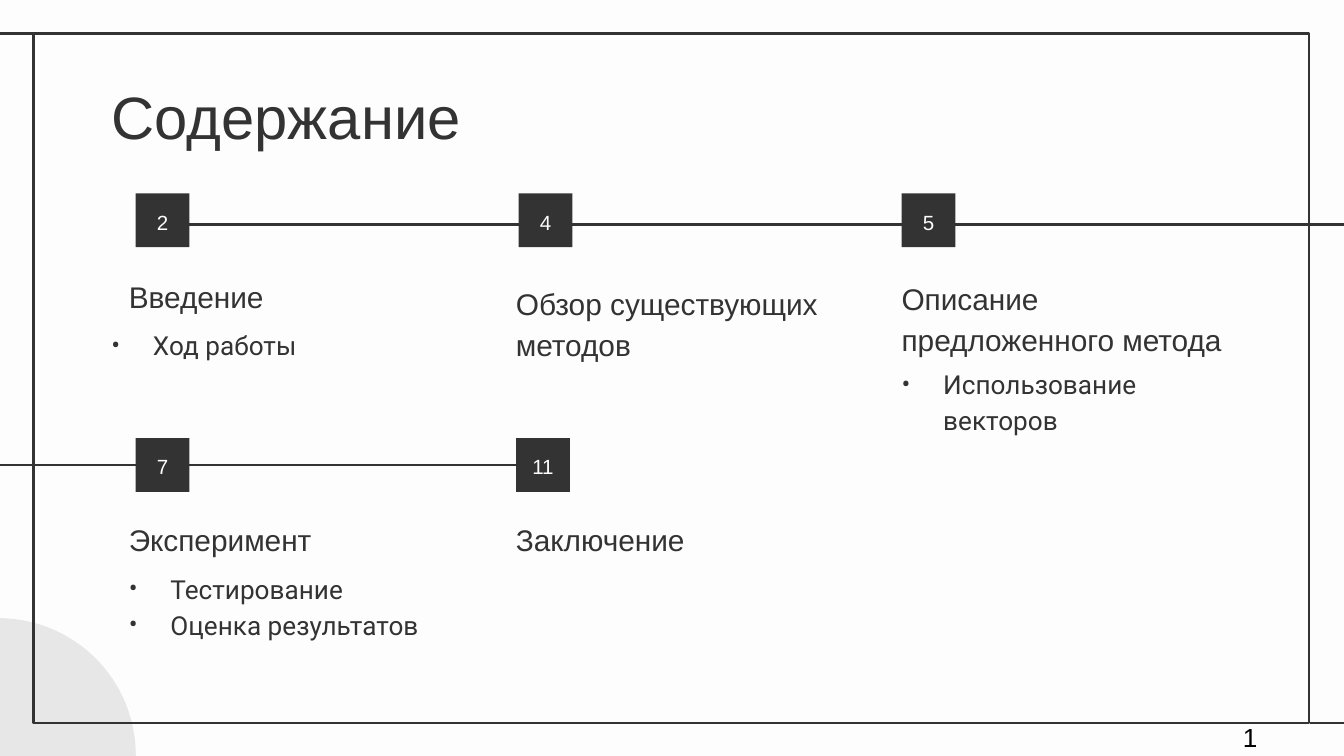
from dataclasses import dataclass

from lxml.etree import SubElement
from pptx import Presentation
from pptx.dml.color import RGBColor
from pptx.enum.shapes import MSO_CONNECTOR, MSO_SHAPE
from pptx.enum.text import MSO_ANCHOR, MSO_AUTO_SIZE, PP_ALIGN
from pptx.oxml.ns import qn
from pptx.util import Inches, Pt


@dataclass(frozen=True)
class Theme:
    paper: RGBColor = RGBColor.from_string("FDFDFD")
    ink: RGBColor = RGBColor.from_string("333333")
    pale: RGBColor = RGBColor.from_string("E8E7E7")
    black: RGBColor = RGBColor.from_string("000000")
    sans: str = "Arial"
    body: str = "Roboto"
    title: int = 32
    head: int = 16
    item: int = 14
    badge: int = 11
    line: float = 1.5
    space: float = 1.15


THEME = Theme()
HEAD_W, HEAD_H = 2.52, 0.42
LIST_W, LIST_H = 2.52, 0.63
SIDE = 0.4


def set_frame(frame, anchor=MSO_ANCHOR.TOP, inset=0.1):
    frame.word_wrap = True
    frame.auto_size = MSO_AUTO_SIZE.NONE
    frame.vertical_anchor = anchor
    frame.margin_left = frame.margin_right = Inches(inset)
    frame.margin_top = frame.margin_bottom = Inches(inset)


def write(frame, lines, size, color=THEME.ink, font=THEME.sans,
          align=PP_ALIGN.LEFT, space=THEME.space):
    """Fill the frame with one paragraph per line."""
    for i, line in enumerate(lines):
        para = frame.add_paragraph() if i else frame.paragraphs[0]
        para.alignment = align
        para.line_spacing = space
        run = para.add_run()
        run.text = line
        run.font.name = font
        run.font.size = Pt(size)
        run.font.color.rgb = color


def add_bullet(para):
    props = para._p.get_or_add_pPr()
    props.set("marL", str(Inches(0.31)))
    props.set("indent", str(Inches(-0.31)))
    color = SubElement(props, qn("a:buClr"))
    SubElement(color, qn("a:srgbClr"), val=str(THEME.ink))
    SubElement(props, qn("a:buFont"), typeface=THEME.body)
    SubElement(props, qn("a:buChar"), char="•")


def add_box(slide, x, y, w, h, anchor=MSO_ANCHOR.TOP):
    box = slide.shapes.add_textbox(Inches(x), Inches(y), Inches(w), Inches(h))
    set_frame(box.text_frame, anchor)
    return box.text_frame


def add_shape(slide, kind, x, y, w, h, fill=None):
    """Add a filled shape without a line, or an outline if no fill is given."""
    shape = slide.shapes.add_shape(kind, Inches(x), Inches(y), Inches(w), Inches(h))
    shape.shadow.inherit = False
    if fill is None:
        shape.fill.background()
        shape.line.color.rgb = THEME.ink
        shape.line.width = Pt(THEME.line)
    else:
        shape.fill.solid()
        shape.fill.fore_color.rgb = fill
        shape.line.fill.background()
    return shape


def add_rule(slide, start, end, y):
    rule = slide.shapes.add_connector(
        MSO_CONNECTOR.STRAIGHT, Inches(start), Inches(y), Inches(end), Inches(y))
    rule.line.color.rgb = THEME.ink
    rule.line.width = Pt(THEME.line)
    SubElement(rule._element.spPr, qn("a:effectLst"))


def add_badge(slide, x, y, text):
    badge = add_shape(slide, MSO_SHAPE.RECTANGLE, x, y, SIDE, SIDE, THEME.ink)
    set_frame(badge.text_frame, MSO_ANCHOR.MIDDLE)
    write(badge.text_frame, [text], THEME.badge, THEME.paper, align=PP_ALIGN.CENTER)


def add_head(slide, x, y, lines, width=HEAD_W):
    frame = add_box(slide, x, y, width, HEAD_H, MSO_ANCHOR.BOTTOM)
    write(frame, lines, THEME.head)


def add_list(slide, x, y, items):
    frame = add_box(slide, x, y, LIST_W, LIST_H)
    write(frame, items, THEME.item, font=THEME.body)
    for para in frame.paragraphs:
        add_bullet(para)


def add_title(slide, text):
    title = slide.shapes.title
    title.left, title.top = Inches(0.73), Inches(0.49)
    title.width, title.height = Inches(8.43), Inches(0.63)
    set_frame(title.text_frame)
    write(title.text_frame, [text], THEME.title, space=1.0)


def add_decor(slide):
    add_shape(slide, MSO_SHAPE.OVAL, -1.03, 4.6, 2.04, 2.04, THEME.pale)
    add_shape(slide, MSO_SHAPE.RECTANGLE, 0.25, 0.25, 9.49, 5.13)
    add_rule(slide, 0.26, -0.02, 0.25)
    add_rule(slide, 10.03, 9.75, 5.38)
    add_rule(slide, 3.97, -0.18, 3.46)
    add_rule(slide, 1.41, 10.17, 1.67)


def main():
    deck = Presentation()
    deck.slide_width = Inches(10)
    deck.slide_height = deck.slide_width * 9 // 16
    slide = deck.slides.add_slide(deck.slide_layouts[5])
    slide.background.fill.solid()
    slide.background.fill.fore_color.rgb = THEME.paper

    add_decor(slide)
    add_title(slide, "Содержание")

    top, low = 1.44, 3.26
    for x, y, page in [(1.01, top, "2"), (3.86, top, "4"), (6.71, top, "5"),
                       (1.01, low, "7"), (3.84, low, "11")]:
        add_badge(slide, x, y, page)

    left, mid, right = 0.86, 3.74, 6.61
    add_head(slide, left, 2.02, ["Введение"])
    add_head(slide, mid, 2.38, ["Обзор существующих", "методов"])
    add_head(slide, right, 2.34, ["Описание предложенного метода"], 2.78)
    add_head(slide, left, 3.83, ["Эксперимент"])
    add_head(slide, mid, 3.83, ["Заключение"])

    add_list(slide, 0.73, 2.32, ["Ход работы"])
    add_list(slide, right, 2.61, ["Использование векторов"])
    add_list(slide, left, 4.13, ["Тестирование", "Оценка результатов"])

    number = add_box(slide, 9.15, 5.32, 2.25, 0.3)
    number.margin_top = number.margin_bottom = Inches(0.05)
    write(number, ["1"], THEME.item, THEME.black, space=1.0)

    deck.save("out.pptx")


if __name__ == "__main__":
    main()
